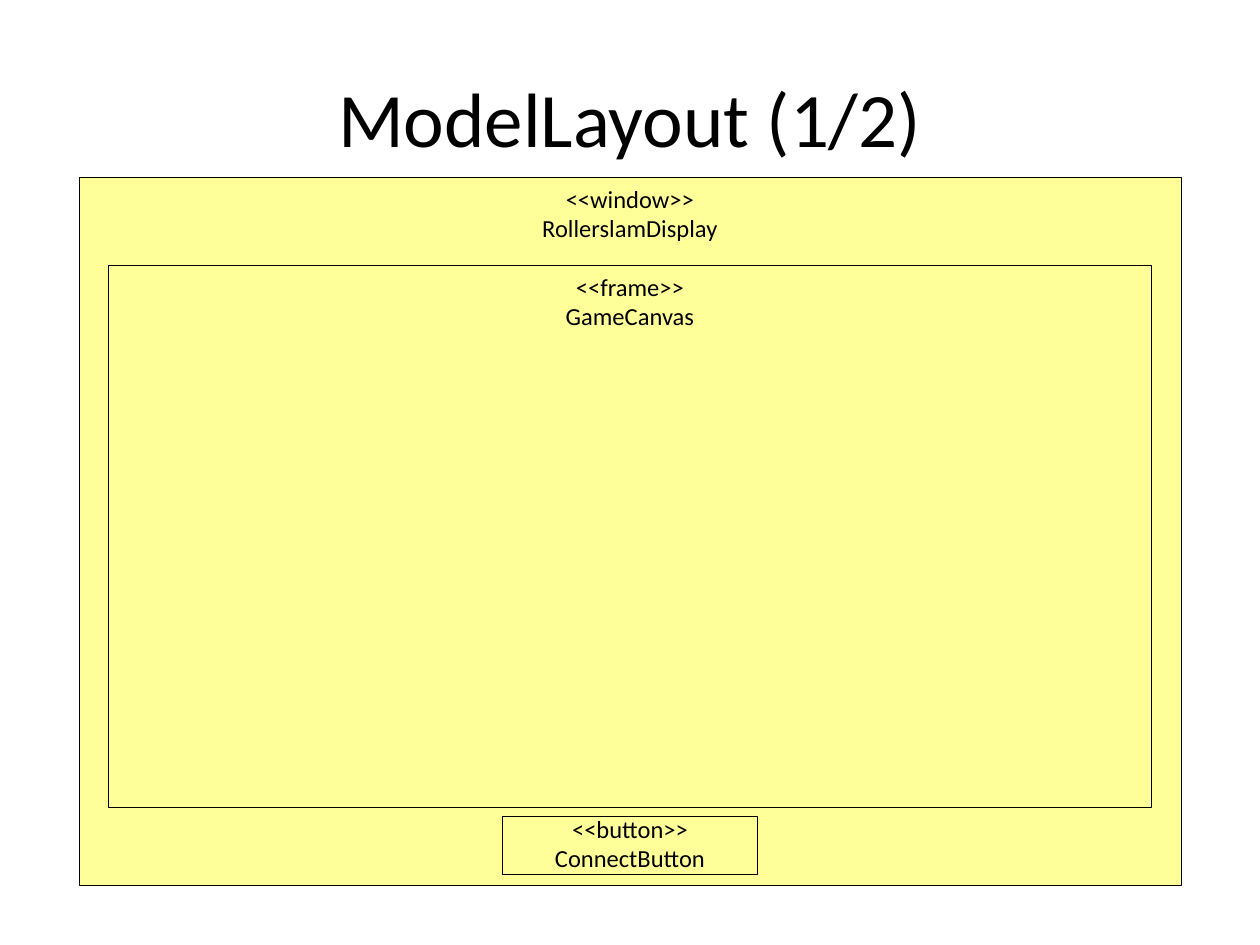
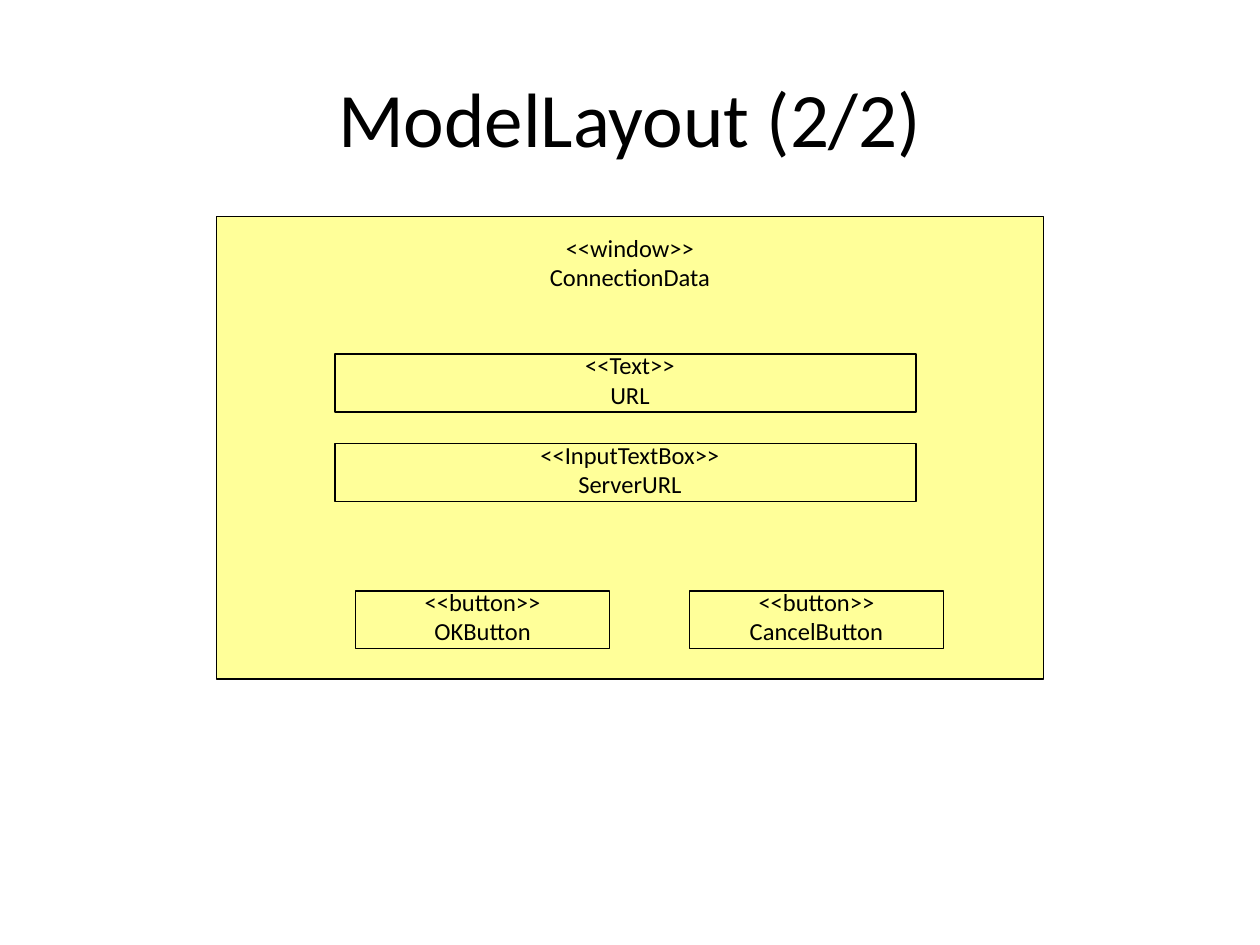
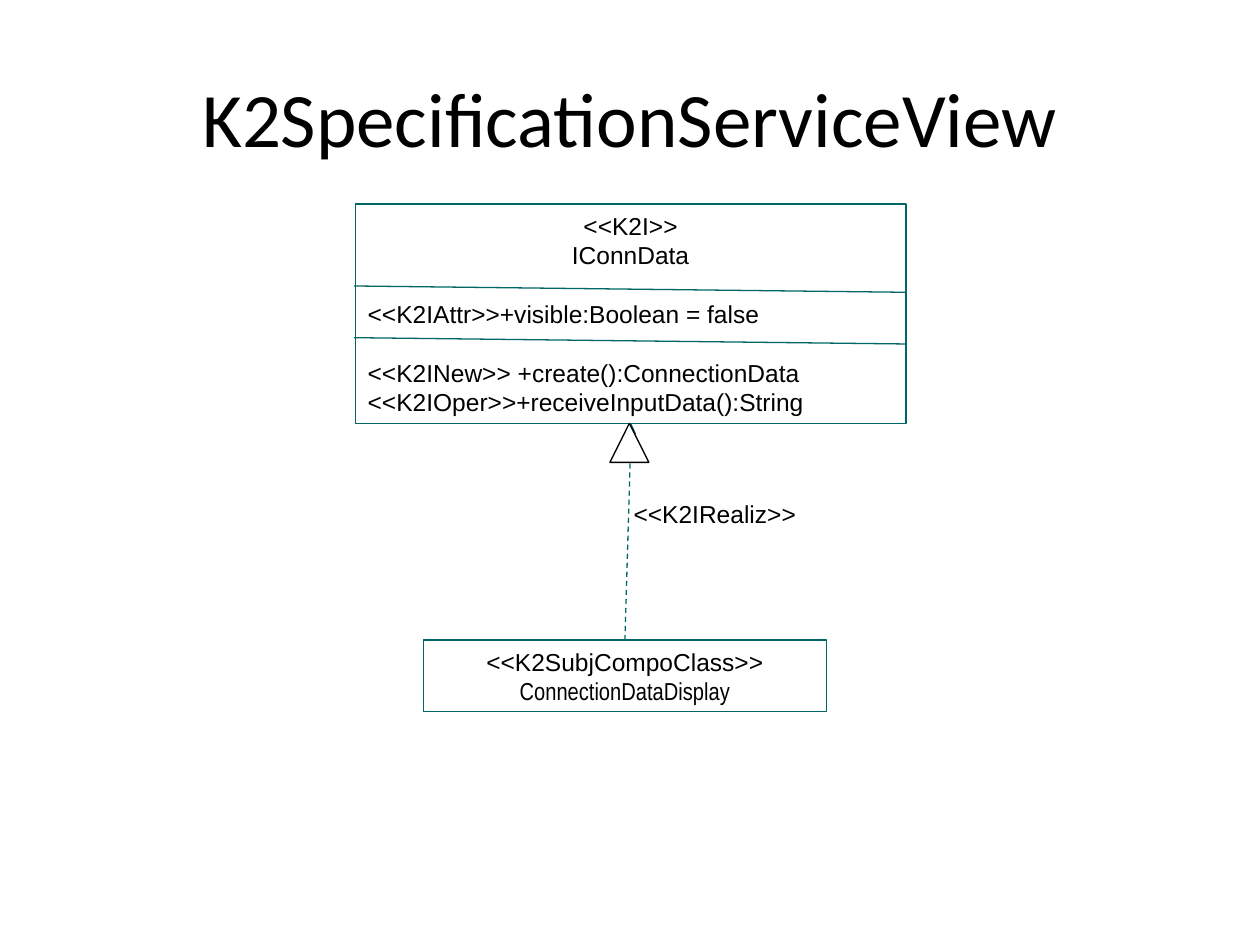
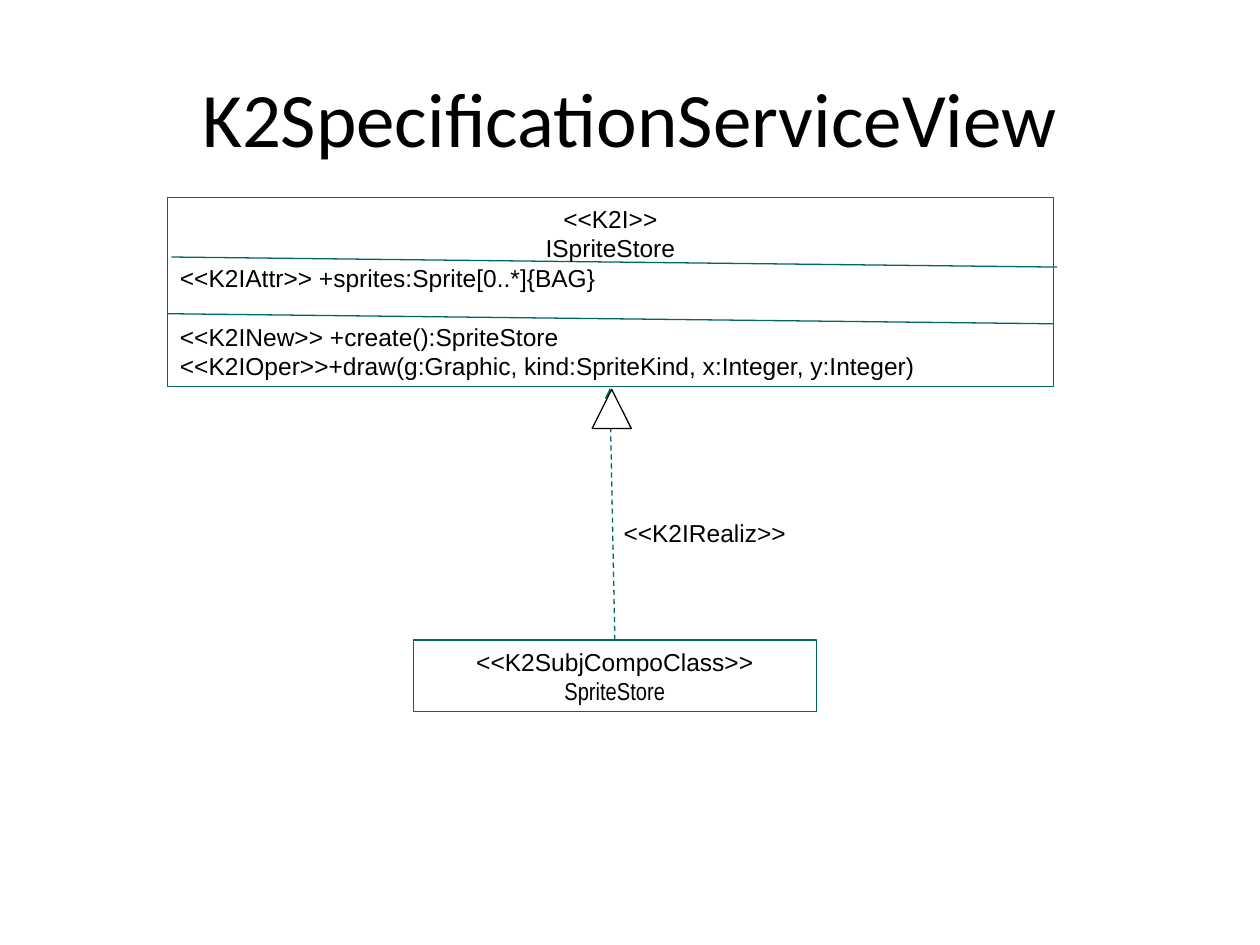
import pptx
import pptx.dml.color
import pptx.enum.dml
import pptx.enum.shapes
import pptx.enum.text
import pptx.oxml
import pptx.oxml.ns
import pptx.util

Inches = pptx.util.Inches
Pt = pptx.util.Pt
RGBColor = pptx.dml.color.RGBColor
Align = pptx.enum.text.PP_ALIGN
Anchor = pptx.enum.text.MSO_ANCHOR
Shape = pptx.enum.shapes.MSO_SHAPE

BLACK = RGBColor(0x00, 0x00, 0x00)
WHITE = RGBColor(0xFF, 0xFF, 0xFF)
YELLOW = RGBColor(0xFF, 0xFF, 0x99)
TEAL = RGBColor(0x00, 0x66, 0x66)
LINE_WIDTH = Pt(0.75)
LINE_PITCH = Pt(16.85)


def write_lines(frame, lines, font, align=Align.CENTER, size=14):
    frame.text = "\n".join(lines)
    for para in frame.paragraphs:
        para.alignment = align
        for span in para.runs:
            span.font.name = font
            span.font.size = Pt(size)
            span.font.color.rgb = BLACK


def add_box(page, kind, place, fill, line):
    """Add an outlined preset shape; a fill of None leaves it open."""
    box = page.shapes.add_shape(kind, *[Inches(length) for length in place])
    box.shadow.inherit = False
    if fill is None:
        box.fill.background()
    else:
        box.fill.solid()
        box.fill.fore_color.rgb = fill
    box.line.color.rgb = line
    box.line.width = LINE_WIDTH
    return box


deck = pptx.Presentation()
deck.slide_width = Inches(10)
deck.slide_height = Inches(7.5)

TITLES = ["ModelLayout (1/2)", "ModelLayout (2/2)",
          "K2SpecificationServiceView", "K2SpecificationServiceView"]
pages = []
for text in TITLES:
    page = deck.slides.add_slide(deck.slide_layouts[5])
    title = page.shapes.title
    title.left, title.top = Inches(0.5), Inches(0.3)
    title.width, title.height = Inches(9), Inches(1.25)
    title.text_frame.vertical_anchor = Anchor.MIDDLE
    write_lines(title.text_frame, [text], "Calibri", size=44)
    pages.append(page)

# Window layouts: box place, label centre and top, stereotype, name
LAYOUTS = [
    [((0.63, 1.41, 8.75, 5.62), 5, 1.41, "window", "RollerslamDisplay"),
     ((0.86, 2.11, 8.28, 4.3), 5, 2.11, "frame", "GameCanvas"),
     ((3.99, 6.48, 2.02, 0.46), 5, 6.41, "button", "ConnectButton")],
    [((1.72, 1.72, 6.56, 3.67), 5, 1.8, "window", "ConnectionData"),
     ((2.66, 3.52, 4.61, 0.46), 5, 3.44, "InputTextBox", "ServerURL"),
     ((2.66, 2.81, 4.61, 0.46), 5, 2.73, "Text", "URL"),
     ((2.82, 4.69, 2.02, 0.46), 3.83, 4.61, "button", "OKButton"),
     ((5.47, 4.69, 2.02, 0.46), 6.48, 4.61, "button", "CancelButton")],
]
for page, widgets in zip(pages[:2], LAYOUTS):
    for place, centre, top, stereotype, name in widgets:
        add_box(page, Shape.RECTANGLE, place, YELLOW, BLACK)
        width = 1.72 if stereotype == "button" else 2.5
        label = page.shapes.add_textbox(Inches(centre - width / 2), Inches(top),
                                        Inches(width), Inches(0.57))
        label.text_frame.word_wrap = True
        write_lines(label.text_frame, [f"<<{stereotype}>>", name], "Calibri")

# Class diagrams: "gaps" are the lines that have one line of space above
DIAGRAMS = [
    {"interface": (2.82, 1.62, 4.37, 1.74),
     "lines": ["<<K2I>>", "IConnData", "<<K2IAttr>>+visible:Boolean = false",
               "<<K2INew>> +create():ConnectionData",
               "<<K2IOper>>+receiveInputData():String"],
     "gaps": [2, 3],
     "dividers": [(2.81, 2.27, 7.19, 2.32), (2.81, 2.68, 7.19, 2.73)],
     "class": (3.36, 5.08, 3.2, 0.57), "name": "ConnectionDataDisplay",
     "realization": (4.96, 5.08, 5.01, 3.36),
     "triangle": (4.84, 3.36, 0.31, 0.31), "label": (4.93, 3.91, 1.49, 0.34)},
    {"interface": (1.33, 1.57, 7.03, 1.5),
     "lines": ["<<K2I>>", "ISpriteStore", "<<K2IAttr>> +sprites:Sprite[0..*]{BAG}",
               "<<K2INew>> +create():SpriteStore",
               "<<K2IOper>>+draw(g:Graphic, kind:SpriteKind, x:Integer, y:Integer)"],
     "gaps": [3],
     "dividers": [(1.33, 2.49, 8.36, 2.57), (1.36, 2.04, 8.39, 2.12)],
     "class": (3.28, 5.08, 3.2, 0.57), "name": "SpriteStore",
     "realization": (4.88, 5.08, 4.84, 3.08),
     "triangle": (4.7, 3.09, 0.31, 0.31), "label": (4.85, 4.06, 1.49, 0.34)},
]
for page, diagram in zip(pages[2:], DIAGRAMS):
    for ends in [diagram["realization"]] + diagram["dividers"]:
        line = page.shapes.add_connector(pptx.enum.shapes.MSO_CONNECTOR.STRAIGHT,
                                         *[Inches(length) for length in ends])
        line.line.color.rgb = TEAL
        line.line.width = LINE_WIDTH
        if ends == diagram["realization"]:
            line.line.dash_style = pptx.enum.dml.MSO_LINE.DASH
            arrow = pptx.oxml.parse_xml(
                f'<a:tailEnd {pptx.oxml.ns.nsdecls("a")} type="triangle"/>')
            line.line._get_or_add_ln().append(arrow)
        line._element.spPr.append(
            pptx.oxml.parse_xml(f'<a:effectLst {pptx.oxml.ns.nsdecls("a")}/>'))

    class_lines = ["<<K2SubjCompoClass>>", diagram["name"]]
    for part, lines in (("class", class_lines), ("interface", diagram["lines"])):
        box = add_box(page, Shape.RECTANGLE, diagram[part], None, TEAL)
        frame = box.text_frame
        frame.word_wrap = True
        frame.vertical_anchor = Anchor.MIDDLE
        write_lines(frame, lines, "Arial")
        for para in frame.paragraphs:
            para.line_spacing = LINE_PITCH
        if part == "class":
            frame.paragraphs[1].runs[0].font.name = "Arial Narrow"
        else:
            for para in frame.paragraphs[2:]:
                para.alignment = Align.LEFT
            for index in diagram["gaps"]:
                frame.paragraphs[index].space_before = LINE_PITCH

    add_box(page, Shape.ISOSCELES_TRIANGLE, diagram["triangle"], WHITE, BLACK)
    label = page.shapes.add_textbox(*[Inches(length) for length in diagram["label"]])
    label.text_frame.word_wrap = False
    write_lines(label.text_frame, ["<<K2IRealiz>>"], "Arial", Align.LEFT)

deck.save("out.pptx")
